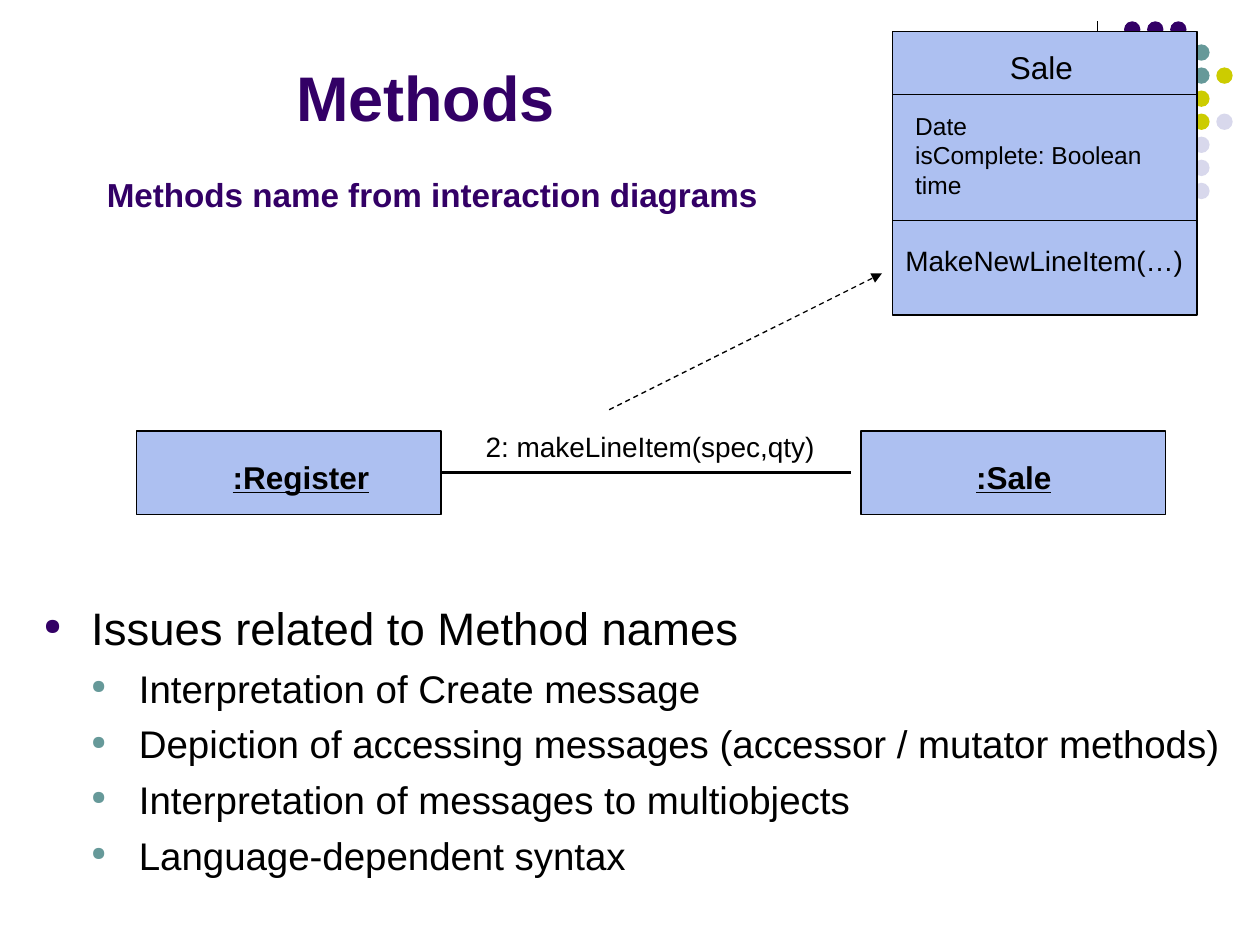
from dataclasses import dataclass
from typing import Optional

import lxml.etree
import pptx
import pptx.dml.color
import pptx.enum.dml
import pptx.enum.shapes
import pptx.enum.text
import pptx.oxml.ns
import pptx.util

Cm, Pt = pptx.util.Cm, pptx.util.Pt
qn = pptx.oxml.ns.qn
FONT = "Arial"
COLORS = {
    "black": "000000",
    "purple": "330066",
    "teal": "669999",
    "olive": "CCCC00",
    "lavender": "D8D8EC",
    "box": "ADC0F1",
}


@dataclass
class Box:
    left: float
    top: float
    width: float
    height: float


@dataclass
class Label:
    lines: list[str]
    box: Box
    size: float
    bold: bool = False
    underline: bool = False
    color: str = "black"
    fill: Optional[str] = None
    wrap: bool = False


@dataclass
class Line:
    x1: float
    y1: float
    x2: float
    y2: float
    width: float = 0.75
    dashed_arrow: bool = False


@dataclass
class Bullet:
    text: str
    level: int = 0


DOT_ROWS = [
    {0: "purple", 1: "purple", 2: "purple"},
    {3: "teal"},
    {3: "teal", 4: "olive"},
    {3: "olive"},
    {3: "olive", 4: "lavender"},
    {3: "lavender"},
    {3: "lavender"},
    {3: "lavender"},
]
DOT_LEFT, DOT_TOP, DOT_SIZE, DOT_STEP = 22.66, 0.43, 0.33, 0.93 / 2

REGISTER = Box(2.75, 8.69, 6.14, 1.69)
SALE = Box(17.36, 8.69, 6.14, 1.69)
SALE_CLASS = Box(17.99, 0.64, 6.14, 5.71)
CLASS_RIGHT = SALE_CLASS.left + SALE_CLASS.width

DIAGRAM_LINES = [
    Line(8.89, 9.53, 17.15, 9.53, width=1.5),
    Line(SALE_CLASS.left, 1.9, CLASS_RIGHT, 1.9),
    Line(SALE_CLASS.left, 4.45, CLASS_RIGHT, 4.45),
    Line(12.28, 8.26, 17.78, 5.51, dashed_arrow=True),
]
LABELS = [
    Label([":Register"], Box(4.44, 9.1, 3.3, 1.02), 18, bold=True, underline=True),
    Label(["2: makeLineItem(spec,qty)"], Box(9.54, 8.53, 7.14, 0.94), 16),
    Label([":Sale"], Box(19.43, 9.1, 2.03, 1.02), 18, bold=True, underline=True),
    Label(["Sale"], Box(20.11, 0.84, 1.78, 1.02), 18),
    Label(["MakeNewLineItem(…)"], Box(18, 4.78, 6.1, 0.94), 16),
    Label(["Date", "isComplete: Boolean", "time"], Box(18.2, 2.11, 5.54, 2.03), 14,
          fill="box", wrap=True),
    Label(["Methods"], Box(5.72, 1.06, 5.72, 1.78), 36, bold=True, color="purple"),
]
ISSUES = [
    Bullet("Issues related to Method names"),
    Bullet("Interpretation of Create message", 1),
    Bullet("Depiction of accessing messages (accessor / mutator methods)", 1),
    Bullet("Interpretation of messages to multiobjects", 1),
    Bullet("Language-dependent syntax", 1),
]
ISSUES_BOX = Box(0.63, 11.98, 24.77, 6.86)
BULLET_INDENT = 0.96
LEVEL_SIZES = [26, 22]
LEVEL_SPACES = [6.5, 5.5]
LEVEL_COLORS = ["purple", "teal"]


def rgb(color: str) -> pptx.dml.color.RGBColor:
    return pptx.dml.color.RGBColor.from_string(COLORS[color])


def lengths(box: Box) -> tuple:
    return Cm(box.left), Cm(box.top), Cm(box.width), Cm(box.height)


def style_font(paragraph, size: float, color: str, bold: bool = False) -> None:
    font = paragraph.font
    font.name, font.size, font.bold = FONT, Pt(size), bold
    font.color.rgb = rgb(color)


def add_filled(slide, kind, box: Box, fill: str, outlined: bool = False) -> None:
    shape = slide.shapes.add_shape(kind, *lengths(box))
    shape.shadow.inherit = False
    shape.fill.solid()
    shape.fill.fore_color.rgb = rgb(fill)
    if outlined:
        shape.line.color.rgb = rgb("black")
        shape.line.width = Pt(0.75)
    else:
        shape.line.fill.background()


def add_line(slide, line: Line) -> None:
    connector = slide.shapes.add_connector(
        pptx.enum.shapes.MSO_CONNECTOR.STRAIGHT,
        Cm(line.x1), Cm(line.y1), Cm(line.x2), Cm(line.y2))
    connector.line.color.rgb = rgb("black")
    connector.line.width = Pt(line.width)
    if line.dashed_arrow:
        connector.line.dash_style = pptx.enum.dml.MSO_LINE.DASH
        outline = connector.line._get_or_add_ln()
        lxml.etree.SubElement(outline, qn("a:tailEnd"), type="triangle")
    lxml.etree.SubElement(connector._element.spPr, qn("a:effectLst"))


def add_label(slide, label: Label) -> None:
    text_box = slide.shapes.add_textbox(*lengths(label.box))
    if label.fill:
        text_box.fill.solid()
        text_box.fill.fore_color.rgb = rgb(label.fill)
    frame = text_box.text_frame
    frame.word_wrap = label.wrap
    frame.auto_size = pptx.enum.text.MSO_AUTO_SIZE.SHAPE_TO_FIT_TEXT
    frame.text = "\n".join(label.lines)
    for paragraph in frame.paragraphs:
        style_font(paragraph, label.size, label.color, label.bold)
        paragraph.font.underline = label.underline


def format_title(slide) -> None:
    title = slide.shapes.title
    title.left, title.top, title.width, title.height = lengths(Box(1.9, 2.97, 14.81, 1.47))
    frame = title.text_frame
    frame.text = "Methods name from interaction diagrams"
    frame.auto_size = pptx.enum.text.MSO_AUTO_SIZE.NONE
    frame.vertical_anchor = pptx.enum.text.MSO_ANCHOR.BOTTOM
    paragraph = frame.paragraphs[0]
    paragraph.alignment = pptx.enum.text.PP_ALIGN.LEFT
    style_font(paragraph, 19, "purple", bold=True)


def add_bullets(slide, bullets: list[Bullet], box: Box) -> None:
    frame = slide.shapes.add_textbox(*lengths(box)).text_frame
    frame.word_wrap = True
    frame.text = "\n".join(bullet.text for bullet in bullets)
    for index, (paragraph, bullet) in enumerate(zip(frame.paragraphs, bullets)):
        level = bullet.level
        paragraph.level = level
        paragraph.space_before = Pt(LEVEL_SPACES[level] if index else 0)
        properties = paragraph._p.get_or_add_pPr()
        properties.set("marL", str(Cm(BULLET_INDENT * (level + 1))))
        properties.set("indent", str(-Cm(BULLET_INDENT)))
        marker_color = lxml.etree.SubElement(properties, qn("a:buClr"))
        lxml.etree.SubElement(marker_color, qn("a:srgbClr"), val=COLORS[LEVEL_COLORS[level]])
        lxml.etree.SubElement(properties, qn("a:buSzPct"), val="50000")
        lxml.etree.SubElement(properties, qn("a:buChar"), char="●")
        style_font(paragraph, LEVEL_SIZES[level], "black")


def main() -> None:
    presentation = pptx.Presentation()
    presentation.slide_width, presentation.slide_height = Cm(25.4), Cm(19.05)
    slide = presentation.slides.add_slide(presentation.slide_layouts[5])
    format_title(slide)

    add_line(slide, Line(22.12, 0.43, 22.12, 4.65))
    for row, dots in enumerate(DOT_ROWS):
        for column, color in dots.items():
            dot = Box(DOT_LEFT + column * DOT_STEP, DOT_TOP + row * DOT_STEP, DOT_SIZE, DOT_SIZE)
            add_filled(slide, pptx.enum.shapes.MSO_SHAPE.OVAL, dot, color)

    for box in (REGISTER, SALE, SALE_CLASS):
        add_filled(slide, pptx.enum.shapes.MSO_SHAPE.RECTANGLE, box, "box", outlined=True)
    for line in DIAGRAM_LINES:
        add_line(slide, line)
    for label in LABELS:
        add_label(slide, label)
    add_bullets(slide, ISSUES, ISSUES_BOX)
    presentation.save("out.pptx")


if __name__ == "__main__":
    main()
